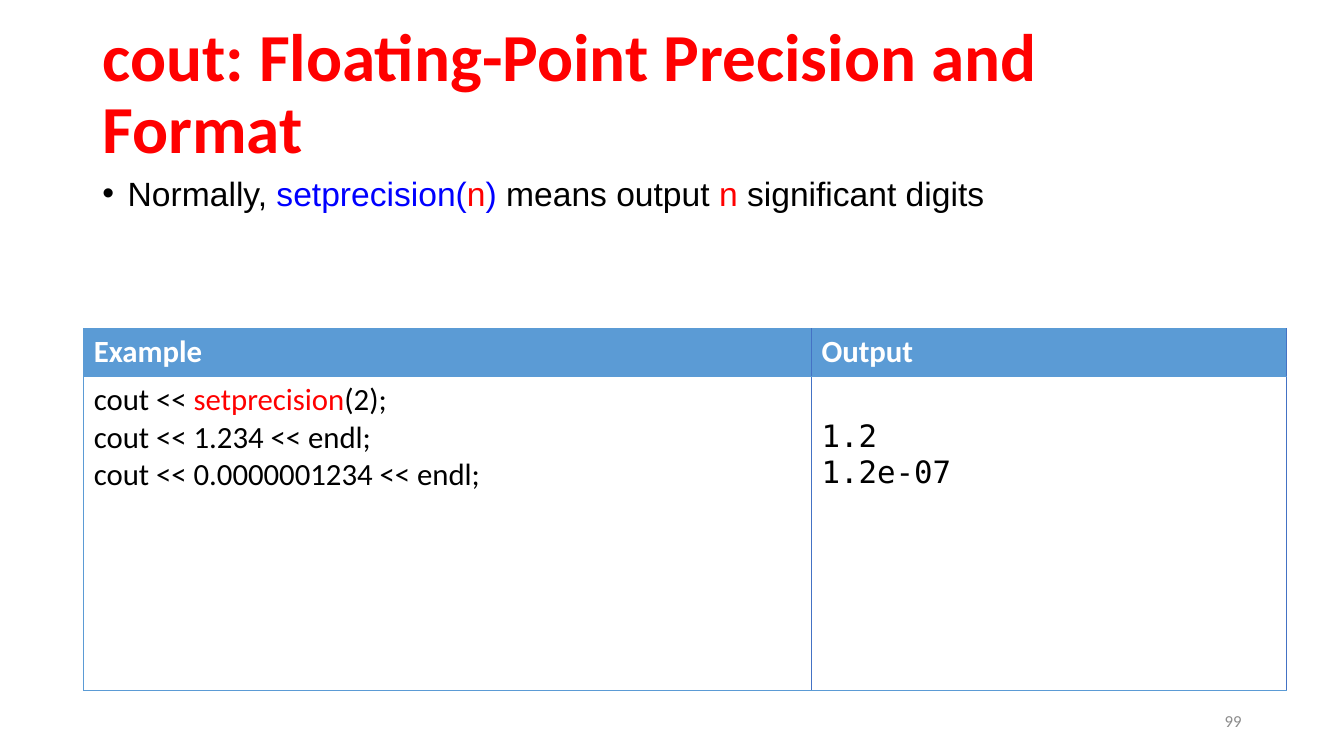
"""Build the slide on floating-point precision with cout."""
from lxml import etree
from pptx import Presentation
from pptx.dml.color import RGBColor
from pptx.enum.text import MSO_ANCHOR, PP_ALIGN
from pptx.oxml.ns import qn
from pptx.util import Cm, Pt

LEFT, RIGHT = PP_ALIGN.LEFT, PP_ALIGN.RIGHT
TOP, MIDDLE = MSO_ANCHOR.TOP, MSO_ANCHOR.MIDDLE

TITLE = [[("cout: Floating-Point Precision and Format", "red")]]
BODY = [[("Normally, ", "black"), ("setprecision(", "blue"), ("n", "red"),
         (") ", "blue"), ("means output ", "black"), ("n", "red"),
         (" significant digits", "black")]]
NUMBER = [[("99", "gray")]]
HEADS = [[[("Example", "white")]], [[("Output", "white")]]]
CODE = [
    [("cout << ", "black"), ("setprecision", "red"), ("(2);", "black")],
    [("cout << 1.234 << endl;", "black")],
    [("cout << 0.0000001234 << endl;", "black")],
]
OUTPUT = [[("1.2", "black")], [("1.2e-07", "black")]]

THEME = {
    "color": {"red": "FF0000", "blue": "0000FF", "black": "000000",
              "white": "FFFFFF", "gray": "8C8C8C",
              "head": "5B9BD5", "rule": "4472C4"},
    "title": ("Calibri", 48, True),
    "body": ("Arial", 24, False),
    "number": ("Calibri", 12, False),
    "head": ("Calibri", 22, True),
    "code": ("Calibri", 22, False),
    "output": ("DejaVu Sans Mono", 22, False),
}

COLS = (18.34, 11.98)
ROWS = (1.2, 7.92)
GRID = (2.11, 8.28, sum(COLS), sum(ROWS))
PAD = 0.13
DROP = 1.07


def tint(name):
    return RGBColor.from_string(THEME["color"][name])


def write(frame, lines, style, align=LEFT):
    face, size, bold = THEME[style]
    for i, line in enumerate(lines):
        para = frame.add_paragraph() if i else frame.paragraphs[0]
        para.alignment = align
        for text, color in line:
            run = para.add_run()
            run.text = text
            font = run.font
            font.name, font.size, font.bold = face, Pt(size), bold
            font.color.rgb = tint(color)


def add_text(slide, box, lines, style, anchor=TOP, align=LEFT):
    frame = slide.shapes.add_textbox(*map(Cm, box)).text_frame
    frame.word_wrap = True
    frame.vertical_anchor = anchor
    write(frame, lines, style, align)
    return frame.paragraphs[0]


def add_bullet(para, indent):
    props = para._p.get_or_add_pPr()
    props.set("marL", str(Cm(indent)))
    props.set("indent", str(-Cm(indent)))
    etree.SubElement(props, qn("a:buFont")).set("typeface", "Arial")
    etree.SubElement(props, qn("a:buChar")).set("char", "•")


def add_edge(cell, side, color, width):
    props = cell._tc.get_or_add_tcPr()
    line = etree.SubElement(props, qn("a:ln" + side), w=str(Pt(width)))
    fill = etree.SubElement(line, qn("a:solidFill"))
    etree.SubElement(fill, qn("a:srgbClr"), val=THEME["color"][color])


def add_grid(slide):
    grid = slide.shapes.add_table(2, 2, *map(Cm, GRID)).table
    for col, width in zip(grid.columns, COLS):
        col.width = Cm(width)
    for row, height in zip(grid.rows, ROWS):
        row.height = Cm(height)
    rows = [
        [(HEADS[0], "head", PAD), (HEADS[1], "head", PAD)],
        [(CODE, "code", PAD), (OUTPUT, "output", DROP)],
    ]
    for r, row in enumerate(rows):
        for c, (lines, style, top) in enumerate(row):
            cell = grid.cell(r, c)
            add_edge(cell, "L", *(("rule", 1) if c else ("head", 0.5)))
            add_edge(cell, "R", "rule", 1)
            add_edge(cell, "T", "head", 0.5)
            add_edge(cell, "B", "head", 0.5)
            cell.fill.solid()
            cell.fill.fore_color.rgb = tint("white" if r else "head")
            cell.margin_top = Cm(top)
            write(cell.text_frame, lines, style)


def main():
    deck = Presentation()
    deck.slide_width, deck.slide_height = Cm(33.87), Cm(19.05)
    slide = deck.slides.add_slide(deck.slide_layouts[6])
    title = add_text(slide, (2.33, 1.01, 29.21, 2.8), TITLE, "title", MIDDLE)
    title.line_spacing = 0.9
    body = add_text(slide, (2.33, 4.22, 30.65, 12.8), BODY, "body")
    add_bullet(body, 0.64)
    add_text(slide, (23.92, 17.66, 7.62, 1.01), NUMBER, "number", MIDDLE, RIGHT)
    add_grid(slide)
    deck.save("out.pptx")


if __name__ == "__main__":
    main()
